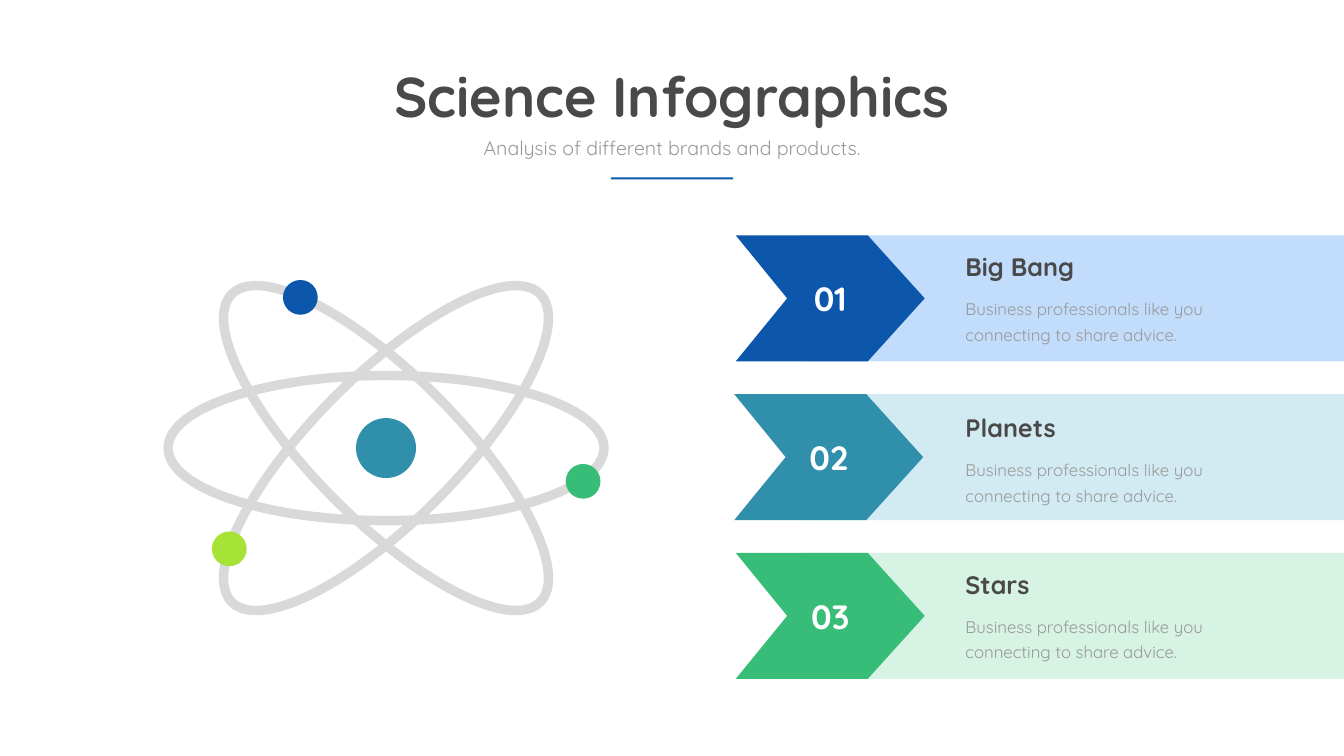
from pptx import Presentation
from pptx.dml.color import RGBColor
from pptx.enum.shapes import MSO_SHAPE
from pptx.enum.text import MSO_ANCHOR, MSO_AUTO_SIZE, PP_ALIGN
from pptx.util import Inches, Pt

TITLE = "Science Infographics"
SUBTITLE = "Analysis of different brands and products."
ADVICE = "Business professionals like you connecting to share advice."
TOPICS = [
    ("01", "Big Bang", "0C56AB", "C2DCFB", 14.6, 0.27),
    ("02", "Planets", "308FAB", "D2EBF2", 14.57, 0.32),
    ("03", "Stars", "37BD78", "D6F3E4", 14.6, 0.27),
]
ELECTRONS = [
    (-1.7, -2.99, "0C56AB"),
    (3.91, 0.66, "37BD78"),
    (-3.11, 2.0, "A7E237"),
]
ORBIT_ANGLES = [45, -45, 0]

WIDTH, HEIGHT = 26.67, 15
FIRST_ROW, ROW_PITCH, ROW_HEIGHT = 4.67, 3.15, 2.5
BAND_LEFT, COPY_LEFT = 15.92, 19.06
ARROW_POINTS = [(2.62, 1), (0, 1), (1.02, 0.5), (0, 0), (2.62, 0), (3.75, 0.5)]
NUCLEUS = (7.66, 8.89)
NUCLEUS_SIZE, ELECTRON_SIZE = 1.19, 0.69
ORBIT_SIZE = (8.65, 2.88)

HEADLINE = {"size": Pt(80), "bold": True, "color": "494949"}
TAGLINE = {"size": Pt(28), "bold": False, "color": "999999"}
NUMBER = {"size": Pt(48), "bold": True, "color": "FFFFFF"}
HEADING = {"size": Pt(36), "bold": True, "color": "494949"}
BODY = {"size": Pt(24), "bold": False, "color": "999999"}


def rgb(value):
    return RGBColor.from_string(value)


def write(holder, text, style, align, anchor=MSO_ANCHOR.TOP, wrap=True, spacing=None):
    frame = holder.text_frame
    frame.text = text
    layout = {"word_wrap": wrap, "vertical_anchor": anchor, "auto_size": MSO_AUTO_SIZE.NONE}
    for name, value in layout.items():
        setattr(frame, name, value)
    paragraph = frame.paragraphs[0]
    paragraph_format = {"alignment": align, "space_before": Pt(0), "line_spacing": spacing or 1.0}
    for name, value in paragraph_format.items():
        setattr(paragraph, name, value)
    font = paragraph.runs[0].font
    for name, value in {"name": "Quicksand", **style}.items():
        if name == "color":
            font.color.rgb = rgb(value)
        else:
            setattr(font, name, value)


def place(holder, left, top, width, height):
    box = {"left": left, "top": top, "width": width, "height": height}
    for name, value in box.items():
        setattr(holder, name, Inches(value))


def paint(figure, color):
    figure.shadow.inherit = False
    figure.fill.solid()
    figure.fill.fore_color.rgb = rgb(color)
    figure.line.fill.background()


def add_figure(shapes, preset, left, top, width, height, color):
    figure = shapes.add_shape(preset, *map(Inches, (left, top, width, height)))
    paint(figure, color)
    return figure


def add_oval(shapes, center, size, color):
    left, top = (middle - length / 2 for middle, length in zip(center, size))
    return add_figure(shapes, MSO_SHAPE.OVAL, left, top, *size, color)


def add_copy(shapes, top, width, height, text, style, spacing=None):
    copy = shapes.add_textbox(*map(Inches, (COPY_LEFT, top, width, height)))
    write(copy, text, style, PP_ALIGN.LEFT, spacing=spacing)


def add_header(slide):
    title, subtitle = slide.shapes.title, slide.placeholders[1]
    place(title, (WIDTH - 11.67) / 2, 1.17, 11.67, 1.45)
    write(title, TITLE, HEADLINE, PP_ALIGN.CENTER, wrap=False)
    place(subtitle, (WIDTH - 9.56) / 2, 2.65, 9.56, 0.57)
    write(subtitle, SUBTITLE, TAGLINE, PP_ALIGN.CENTER)
    add_figure(slide.shapes, MSO_SHAPE.RECTANGLE, (WIDTH - 2.43) / 2, 3.52, 2.43, 0.04, "0C56AB")


def add_topic(shapes, row, number, heading, color, tint, arrow_left, inset):
    top = FIRST_ROW + row * ROW_PITCH
    add_figure(shapes, MSO_SHAPE.RECTANGLE, BAND_LEFT, top, WIDTH - BAND_LEFT, ROW_HEIGHT, tint)
    corners = [(Inches(arrow_left + x), Inches(top + y * ROW_HEIGHT)) for x, y in ARROW_POINTS]
    builder = shapes.build_freeform(*corners[0])
    builder.add_line_segments(corners[1:], close=True)
    arrow = builder.convert_to_shape()
    paint(arrow, color)
    write(arrow, number, NUMBER, PP_ALIGN.CENTER, MSO_ANCHOR.MIDDLE, wrap=False)
    add_copy(shapes, top + inset, 4.89, 0.71, heading, HEADING)
    add_copy(shapes, top + inset + 0.83, 5.65, 1.13, ADVICE, BODY, Pt(36.6))


def add_atom(shapes):
    for angle in ORBIT_ANGLES:
        orbit = add_oval(shapes, NUCLEUS, ORBIT_SIZE, "D9D9D9")
        orbit.fill.background()
        orbit.line.color.rgb = rgb("D9D9D9")
        orbit.line.width = Pt(13.5)
        orbit.rotation = angle
    add_oval(shapes, NUCLEUS, (NUCLEUS_SIZE, NUCLEUS_SIZE), "308FAB")
    for across, down, color in ELECTRONS:
        center = (NUCLEUS[0] + across, NUCLEUS[1] + down)
        add_oval(shapes, center, (ELECTRON_SIZE, ELECTRON_SIZE), color)


def main():
    deck = Presentation()
    deck.slide_width, deck.slide_height = Inches(WIDTH), Inches(HEIGHT)
    slide = deck.slides.add_slide(deck.slide_layouts[0])
    add_header(slide)
    for row, topic in enumerate(TOPICS):
        add_topic(slide.shapes, row, *topic)
    add_atom(slide.shapes)
    deck.save("out.pptx")


if __name__ == "__main__":
    main()
